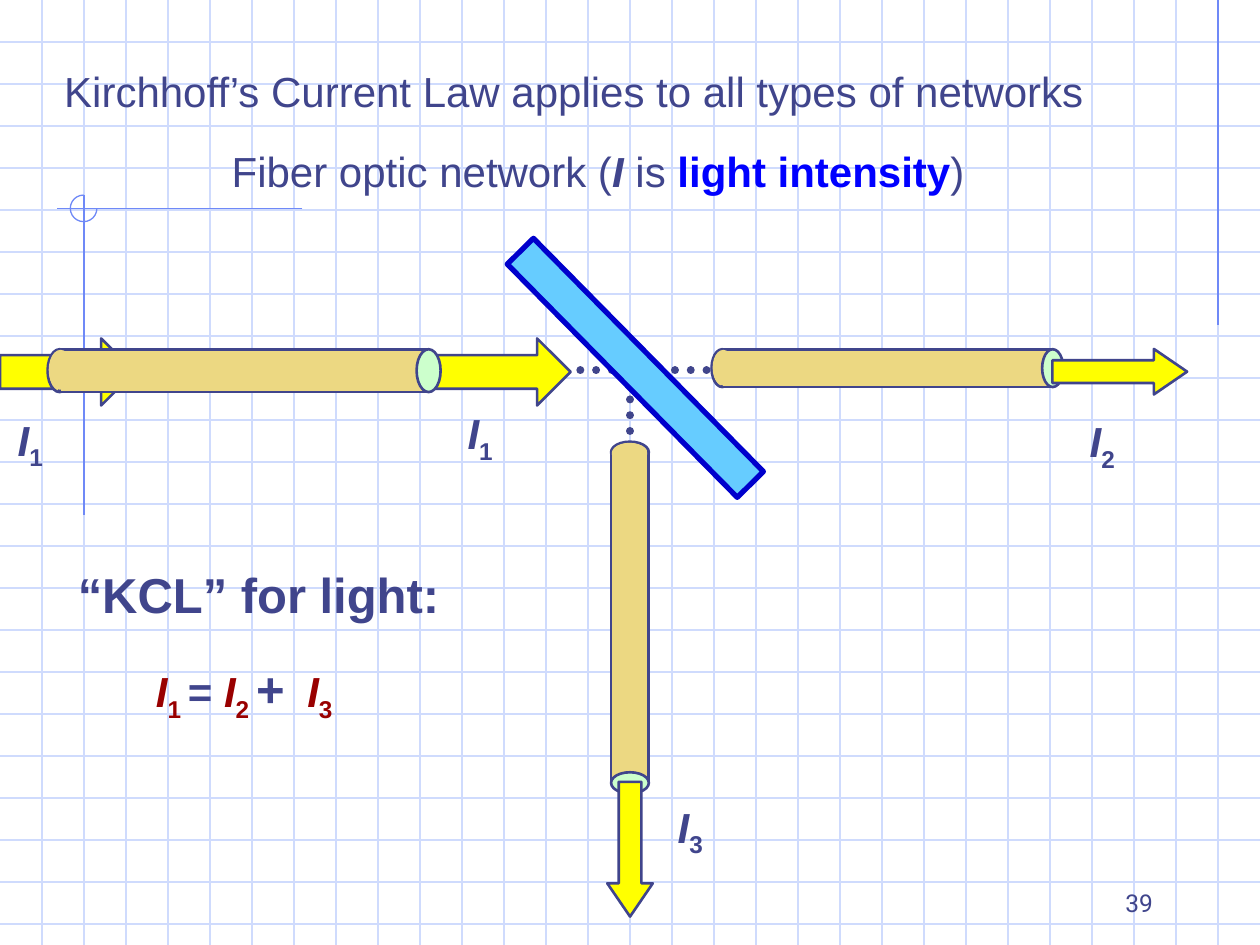
from dataclasses import dataclass

from lxml.etree import SubElement
from pptx import Presentation
from pptx.dml.color import RGBColor
from pptx.enum.shapes import MSO_CONNECTOR as Line, MSO_SHAPE as Shape
from pptx.enum.text import MSO_ANCHOR as Anchor, MSO_AUTO_SIZE as Auto, PP_ALIGN as Align
from pptx.oxml.ns import qn
from pptx.util import Pt


@dataclass(frozen=True)
class Theme:
    ink: str = "40458C"
    grid: str = "CFDBFD"
    rule: str = "6F89F7"
    fiber: str = "ECD882"
    fiber_end: str = "CCFFCC"
    light: str = "FFFF00"
    mirror: str = "66CCFF"
    mirror_edge: str = "0000CC"
    accent: str = "0000FF"
    equation: str = "990000"
    font: str = "Arial"
    number_font: str = "Roboto"
    body: int = 24
    large: int = 28
    small: int = 14


T = Theme()
W, H = 720, 540


def rgb(value):
    return RGBColor.from_string(value)


def add_line(s, x1, y1, x2, y2, color, width=0.75, dotted=False):
    line = s.shapes.add_connector(Line.STRAIGHT, Pt(x1), Pt(y1), Pt(x2), Pt(y2))
    line.line.color.rgb = rgb(color)
    line.line.width = Pt(width)
    if dotted:
        ln = line.line._get_or_add_ln()
        ln.set("cap", "rnd")
        SubElement(ln, qn("a:prstDash")).set("val", "sysDot")
        SubElement(ln, qn("a:round"))
    SubElement(line._element.spPr, qn("a:effectLst"))


def add_shape(s, kind, x, y, w, h, fill=None, line=T.ink, width=1.5, rotation=0, adj=()):
    sp = s.shapes.add_shape(kind, Pt(x), Pt(y), Pt(w), Pt(h))
    sp.shadow.inherit = False
    sp.rotation = rotation
    for i, value in enumerate(adj):
        sp.adjustments[i] = value
    if fill:
        sp.fill.solid()
        sp.fill.fore_color.rgb = rgb(fill)
    else:
        sp.fill.background()
    sp.line.color.rgb = rgb(line)
    sp.line.width = Pt(width)


def add_run(p, text, size=T.body, color=T.ink, font=T.font, bold=False, italic=False, sub=False):
    r = p.add_run()
    r.text = text
    r.font.size = Pt(size)
    r.font.name = font
    r.font.bold = bold
    r.font.italic = italic
    r.font.color.rgb = rgb(color)
    if sub:
        r._r.get_or_add_rPr().set("baseline", "-25000")


def write(sp, runs, align=Align.LEFT, anchor=Anchor.TOP, wrap=False, tab=None):
    tf = sp.text_frame
    tf.auto_size = Auto.NONE
    tf.word_wrap = wrap
    tf.vertical_anchor = anchor
    p = tf.paragraphs[0]
    p.alignment = align
    if tab:
        tabs = SubElement(p._p.get_or_add_pPr(), qn("a:tabLst"))
        SubElement(tabs, qn("a:tab"), pos=str(Pt(tab)), algn="l")
    for text, style in runs:
        add_run(p, text, **style)


def add_text(s, x, y, w, h, runs, **layout):
    write(s.shapes.add_textbox(Pt(x), Pt(y), Pt(w), Pt(h)), runs, **layout)


def current(number, color=T.ink):
    return [("I", dict(bold=True, italic=True, color=color)),
            (number, dict(bold=True, sub=True, color=color))]


def background(s, step=24):
    for y in range(step, H, step):
        add_line(s, 0, y, W, y, T.grid)
    for x in range(step, W, step):
        add_line(s, x, 0, x, H, T.grid)
    add_line(s, 696, 0, 696, 186, T.rule)
    add_line(s, 172.8, 119.3, 32.4, 119.3, T.rule)
    add_line(s, 48, 111.5, 48, 294.5, T.rule)
    add_shape(s, Shape.ARC, 40.2, 111.5, 15.2, 15.2, line=T.rule, width=0.75,
              adj=(0, 162))


def heading(s, x, y):
    title = s.shapes.title
    title.left, title.top, title.width, title.height = Pt(x), Pt(y), Pt(597), Pt(36)
    write(title, [("Kirchhoff’s Current Law applies to all types of networks", {})])
    title._element.getparent().append(title._element)
    add_text(s, x + 95.8, y + 46, 432.7, 36, [
        ("Fiber optic network (", {}),
        ("I ", dict(bold=True, italic=True)),
        ("is ", {}),
        ("light intensity", dict(bold=True, color=T.accent)),
        (")", {}),
    ])


def fiber(s, x, y, length, thick, vertical=False):
    cap = 0.56 * thick
    parts = [
        (Shape.OVAL, 0, 0, cap, thick, T.fiber, T.ink),
        (Shape.RECTANGLE, cap / 2, 0, length - cap, thick, T.fiber, T.ink),
        (Shape.OVAL, length - cap, 0, cap, thick, T.fiber_end, T.ink),
        (Shape.OVAL, 1.4, 1.1, 0.88 * cap, 0.87 * thick, T.fiber, T.fiber),
    ]
    for kind, along, across, w, h, fill, line in parts:
        if vertical:
            along, across, w, h = across, along, h, w
        add_shape(s, kind, x + along, y + across, w, h, fill, line)


def light_arrow(s, x, y, h, head, rotation=0):
    add_shape(s, Shape.RIGHT_ARROW, x, y, 77, h, T.light, rotation=rotation, adj=(0.5, head))


def network(s, x, y):
    add_line(s, x + 322.6, y + 95, x + 408.2, y + 95, T.ink, 4.5, dotted=True)
    add_line(s, x + 360, y + 93.6, x + 360, y + 153.4, T.ink, 4.5, dotted=True)
    add_shape(s, Shape.RECTANGLE, x + 352.6, y, 21, 187.2, T.mirror, T.mirror_edge, 3, 315.4)
    fiber(s, x + 349.2, y + 135.8, 201, 21.6, vertical=True)
    fiber(s, x + 406.6, y + 83, 201, 21.6)
    light_arrow(s, x + 249.1, y + 76.8, 38.3, 0.5)
    light_arrow(s, x + 601.4, y + 82.8, 26, 0.73)
    light_arrow(s, x + 321.5, y + 355.7, 26, 0.73, rotation=90)
    light_arrow(s, x, y + 76.8, 38.3, 0.5)
    fiber(s, x + 27.2, y + 83, 224.6, 24.5)
    labels = [("1", 2.9, 116.7), ("1", 260, 113), ("2", 615.5, 117.5), ("3", 380.1, 337.8)]
    for number, dx, dy in labels:
        add_text(s, x + dx, y + dy, 28.8, 40.3, current(number), align=Align.CENTER)


def law(s, x, y):
    add_text(s, x, y, 221, 41, [("“KCL” for light:", dict(size=T.large, bold=True))])
    bold = dict(bold=True)
    runs = [
        *current("1 ", T.equation), ("= ", bold),
        *current("2 ", T.equation), ("+", dict(bold=True, size=T.large)), ("\t", bold),
        *current("3", T.equation),
    ]
    add_text(s, x + 44.6, y + 54, 163.4, 44, runs, wrap=True, tab=86.5)


def slide_number(s, x, y):
    add_text(s, x, y, 149.8, 36, [("39", dict(size=T.small, font=T.number_font))],
             align=Align.RIGHT, anchor=Anchor.BOTTOM, wrap=True)


def main():
    prs = Presentation()
    prs.slide_width, prs.slide_height = Pt(W), Pt(H)
    s = prs.slides.add_slide(prs.slide_layouts[5])
    background(s)
    slide_number(s, 516.2, 491.8)
    heading(s, 29.5, 33.8)
    network(s, 0, 116.6)
    law(s, 37.4, 319)
    prs.save("out.pptx")


if __name__ == "__main__":
    main()
